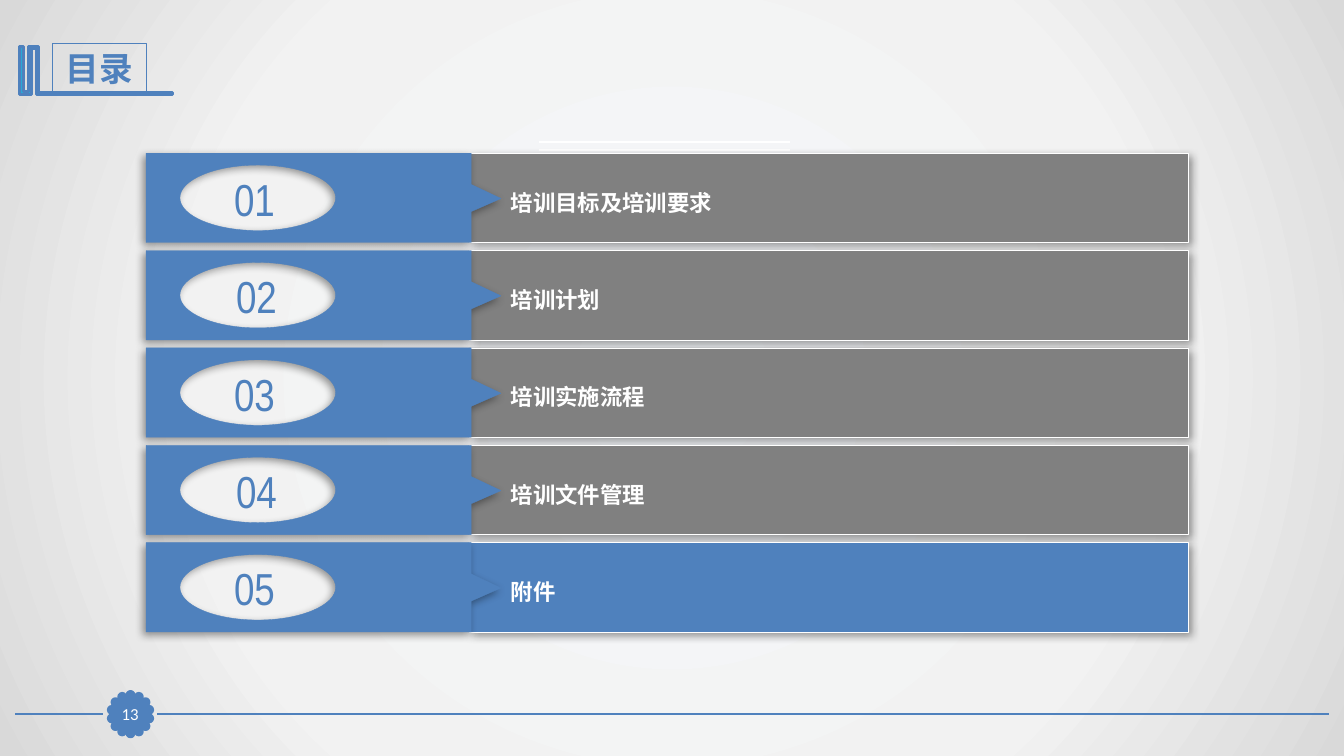
import math
from dataclasses import dataclass
from pptx import Presentation
from pptx import oxml, util as u
from pptx.dml import color
from pptx.enum import shapes, text
from pptx.oxml import ns

CELL = u.Inches(0.1)
COLS, ROWS = 133.33, 75
BLUE, GREY, WHITE = "4F81BD", "808080", "FFFFFF"
NARROW, PLAIN = "Arial Narrow", "Calibri"
RECT, OVAL = shapes.MSO_SHAPE.RECTANGLE, shapes.MSO_SHAPE.OVAL
LEFT, CENTER = text.PP_ALIGN.LEFT, text.PP_ALIGN.CENTER
TOP, MIDDLE = text.MSO_ANCHOR.TOP, text.MSO_ANCHOR.MIDDLE
FIT, FIXED = text.MSO_AUTO_SIZE.SHAPE_TO_FIT_TEXT, text.MSO_AUTO_SIZE.NONE


@dataclass
class Box:
    col: float
    row: float
    wide: float
    high: float


@dataclass
class Item:
    label: str
    col: float
    wide: float
    fill: str = GREY


@dataclass
class Rule:
    start: float
    end: float
    row: float
    hue: str
    width: float


@dataclass
class Type:
    face: str
    size: float
    hue: str
    bold: bool = False
    align: int = CENTER
    anchor: int = MIDDLE
    fit: int = FIT


ITEMS = [
    Item("培训目标及培训要求", 19.6, 11.3),
    Item("培训计划", 19.3, 12.3),
    Item("培训实施流程", 19.1, 12.3),
    Item("培训文件管理", 19.3, 12.3),
    Item("附件", 19.1, 12.3, BLUE),
]
FIRST, PITCH, HIGH = 15.2, 9.66, 8.86
RULES = [
    Rule(131.8, 15.6, 70.85, BLUE, 1.25),
    Rule(10.2, 1.5, 70.85, BLUE, 1.25),
    Rule(53.5, 78.4, 14.1, WHITE, 1.5),
    Rule(53.5, 78.4, 14.9, WHITE, 1.5),
]
ICON = [
    (3.7, 4.6), (3.8, 4.6), (3.8, 9.2), (17.1, 9.2), (17.1, 9.4), (3.6, 9.4),
    (3.6, 4.8), (3.1, 4.8), (3.1, 9.4), (1.9, 9.4), (1.9, 4.6), (2.3, 4.6),
    (2.3, 9.1), (2.8, 9.1), (2.8, 4.6),
]
EDGE = [(14.5, 0), (46.75, 0), (46.75, 3.1), (49.7, 4.5),
        (46.75, 5.8), (46.75, HIGH), (14.5, HIGH)]
HOLE = Box(3.35, 1.18, 15.45, 6.5)
HEAD = Type(NARROW, 24, BLUE, bold=True, fit=FIXED)
COUNT = Type(NARROW, 32, BLUE)
LABEL = Type(PLAIN, 16, WHITE, bold=True, align=LEFT, anchor=TOP)
PAGE = Type(PLAIN, 12, WHITE, fit=FIXED)


def cells(n: float) -> int:
    return round(n * CELL)


def place(box: Box) -> list[int]:
    return [cells(n) for n in (box.col, box.row, box.wide, box.high)]


def rgb(hue: str) -> color.RGBColor:
    return color.RGBColor.from_string(hue)


def paint(shape, fill: str, line: str, width: float) -> None:
    shape.shadow.inherit = False
    shape.fill.solid()
    shape.fill.fore_color.rgb = rgb(fill)
    shape.line.color.rgb = rgb(line)
    shape.line.width = u.Pt(width)


def shade(shape, angle: int) -> None:
    glow = oxml.parse_xml(
        f'<a:outerShdw {ns.nsdecls("a")} blurRad="{u.Pt(6)}" dist="{u.Pt(3)}" '
        f'dir="{angle * 60000}" algn="tl" rotWithShape="0">'
        '<a:srgbClr val="000000"><a:alpha val="40000"/></a:srgbClr></a:outerShdw>')
    shape.element.spPr.find(ns.qn("a:effectLst")).append(glow)


def write(shape, words: str, kind: Type) -> None:
    frame = shape.text_frame
    frame.text = words
    frame.word_wrap = True
    frame.auto_size = kind.fit
    frame.vertical_anchor = kind.anchor
    para = frame.paragraphs[0]
    para.alignment = kind.align
    font = para.font
    font.name, font.size, font.bold = kind.face, u.Pt(kind.size), kind.bold
    font.color.rgb = rgb(kind.hue)


def outline(tree, loop: list[tuple[float, float]]):
    spots = [(cells(x), cells(y)) for x, y in loop]
    pen = tree.build_freeform(*spots[0])
    pen.add_line_segments(spots[1:])
    return pen.convert_to_shape()


def pierce(shape, box: Box) -> None:
    rx, ry = box.wide / 2, box.high / 2
    x, y, k = box.col + rx, box.row + ry, 0.5523

    def spot(a: float, b: float) -> str:
        return f'<a:pt x="{cells(x + a * rx)}" y="{cells(y + b * ry)}"/>'

    arcs = "".join(
        "<a:cubicBezTo>" + spot(a - k * b, b + k * a)
        + spot(-b + k * a, a + k * b) + spot(-b, a) + "</a:cubicBezTo>"
        for a, b in ((0, -1), (1, 0), (0, 1), (-1, 0)))
    loop = oxml.parse_xml(f'<a:path {ns.nsdecls("a")}><a:moveTo>{spot(0, -1)}'
                          f'</a:moveTo>{arcs}<a:close/></a:path>')
    home = next(shape.element.iter(ns.qn("a:path")))
    for place_at, step in enumerate(list(loop)):
        home.insert(place_at, step)


def rule(tree, item: Rule) -> None:
    ends = [cells(n) for n in (item.start, item.row, item.end, item.row)]
    line = tree.add_connector(shapes.MSO_CONNECTOR.STRAIGHT, *ends)
    line.line.color.rgb = rgb(item.hue)
    line.line.width = u.Pt(item.width)
    line.element.spPr.append(oxml.parse_xml(f'<a:effectLst {ns.nsdecls("a")}/>'))


def badge(tree) -> None:
    group = tree.add_group_shape().shapes
    for i in range(14):
        turn = math.tau * i / 14
        x, y = 12.6 + 1.9 * math.sin(turn), 70.5 - 1.9 * math.cos(turn)
        paint(group.add_shape(OVAL, *place(Box(x, y, 0.7, 0.7))), BLUE, BLUE, 2)
    core = tree.add_shape(RECT, *place(Box(11.3, 69.3, 3.2, 3.1)))
    paint(core, BLUE, BLUE, 0.75)
    write(core, "13", PAGE)
    frame = core.text_frame
    frame.margin_left = frame.margin_right = 0
    frame.margin_top = frame.margin_bottom = 0


def entry(tree, index: int, item: Item) -> None:
    row = FIRST + index * PITCH
    group = tree.add_group_shape().shapes
    bar = group.add_shape(RECT, *place(Box(46.5, row, 71.35, HIGH)))
    paint(bar, item.fill, WHITE, 0.25)
    shade(bar, 45)
    tab = outline(group, [(x, row + y) for x, y in EDGE])
    pierce(tab, HOLE)
    paint(tab, BLUE, BLUE, 0.25)
    shade(tab, 135)
    count = group.add_textbox(*place(Box(item.col, row + 1.3, item.wide, 6.4)))
    write(count, f"{index + 1:02}", COUNT)
    label = group.add_textbox(*place(Box(49.7, row + 3.03, 68.1, 3.7)))
    write(label, item.label, LABEL)


def backdrop(slide) -> None:
    slide.background.fill.solid()
    stops = "".join(
        f'<a:gs pos="{pos * 1000}"><a:srgbClr val="{hue}"/></a:gs>'
        for pos, hue in ((0, "F6F9FC"), (63, "F2F2F2"), (100, "D9D9D9")))
    blend = oxml.parse_xml(
        f'<a:gradFill {ns.nsdecls("a")} rotWithShape="1"><a:gsLst>{stops}</a:gsLst>'
        '<a:path path="circle"><a:fillToRect l="50000" t="50000" r="50000" '
        'b="50000"/></a:path></a:gradFill>')
    flat = next(slide.element.iter(ns.qn("a:solidFill")))
    flat.getparent().replace(flat, blend)


deck = Presentation()
deck.slide_width, deck.slide_height = cells(COLS), cells(ROWS)
slide = deck.slides.add_slide(deck.slide_layouts[5])
tree = slide.shapes
backdrop(slide)
title = tree.title
title.left, title.top, title.width, title.height = place(Box(5.2, 4.3, 9.3, 5))
title.line.color.rgb = rgb(BLUE)
title.line.width = u.Pt(0.75)
write(title, "目录", HEAD)
paint(outline(tree, ICON), "28A9D6", BLUE, 2)
for item in RULES:
    rule(tree, item)
badge(tree)
for index, item in enumerate(ITEMS):
    entry(tree, index, item)
deck.save("out.pptx")
